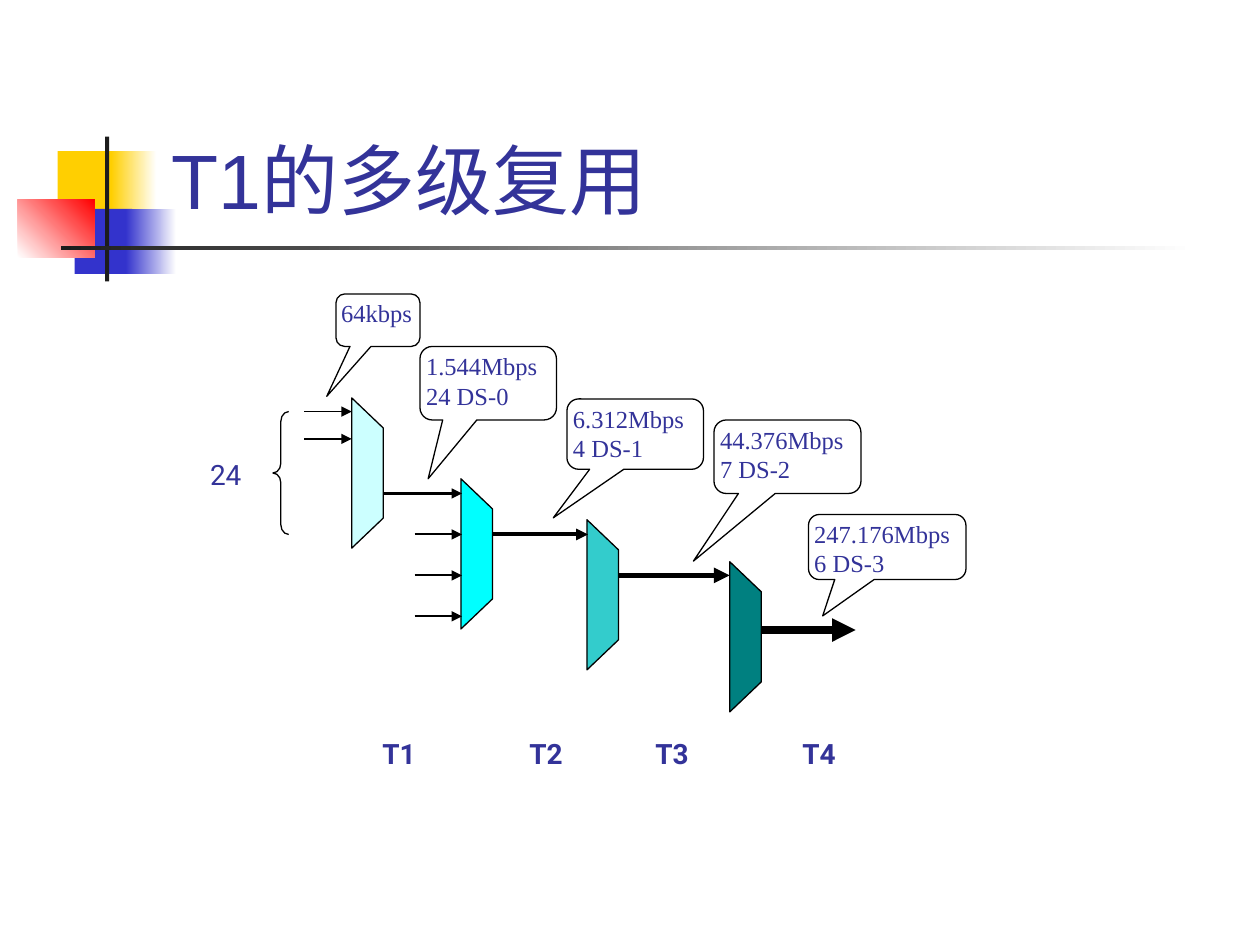
from dataclasses import dataclass

from lxml.etree import SubElement
from pptx import Presentation
from pptx.dml.color import RGBColor
from pptx.enum.shapes import MSO_CONNECTOR, MSO_SHAPE as Shape
from pptx.enum.text import MSO_ANCHOR as Anchor, MSO_AUTO_SIZE, PP_ALIGN as Align
from pptx.oxml.ns import qn
from pptx.util import Inches, Pt

# The slide is a grid of 120 columns by 90 rows of square cells
COLUMNS, ROWS = 120, 90
CELL = Inches(10) / COLUMNS

WHITE = RGBColor(0xFF, 0xFF, 0xFF)
BLACK = RGBColor(0, 0, 0)
CHARCOAL = RGBColor(0x1C, 0x1C, 0x1C)
YELLOW = RGBColor(0xFF, 0xCF, 0x01)
BLUE = RGBColor(0x33, 0x33, 0xCC)
RED = RGBColor(0xFF, 0, 0)
NAVY = RGBColor(0x33, 0x33, 0x99)
PALE_CYAN = RGBColor(0xCC, 0xFF, 0xFF)
CYAN = RGBColor(0, 0xFF, 0xFF)
TURQUOISE = RGBColor(0x33, 0xCC, 0xCC)
TEAL = RGBColor(0, 0x80, 0x80)

MUX_WIDTH, MUX_HEIGHT = 3, 14.3
INPUT_PITCH = 3.9


def cells(count):
    return round(count * CELL)


@dataclass
class Box:
    left: float
    top: float
    width: float
    height: float

    def inner(self, col, row, width, height):
        return Box(self.left + col, self.top + row, width, height)

    def emu(self):
        return [cells(n) for n in (self.left, self.top, self.width, self.height)]


def add_shape(slide, kind, box, fill=None, outlined=True):
    shape = slide.shapes.add_shape(kind, *box.emu())
    shape.shadow.inherit = False
    if fill is None:
        shape.fill.background()
    else:
        shape.fill.solid()
        shape.fill.fore_color.rgb = fill
    if outlined:
        shape.line.color.rgb = BLACK
        shape.line.width = Pt(0.75)
    else:
        shape.line.fill.background()
    return shape


def write(frame, lines, font_name, size, align, bold=False):
    frame.word_wrap = True
    frame.text = "\n".join(lines)
    for paragraph in frame.paragraphs:
        paragraph.alignment = align
        font = paragraph.font
        font.name, font.size, font.bold = font_name, Pt(size), bold
        font.color.rgb = NAVY


def add_ornament(slide, box):
    # Colour blocks and rules: place, start colour, end colour, angle
    blocks = [
        ((3.8, 1.4, 5.8, 6.2), YELLOW, None, 0),
        ((8.9, 1.4, 4.3, 6.2), YELLOW, WHITE, 0),
        ((5.4, 6.9, 5.5, 6.2), BLUE, None, 0),
        ((10.3, 6.9, 4.8, 6.2), BLUE, WHITE, 0),
        ((0, 6, 7.3, 5.5), WHITE, RED, 45),
        ((8.3, 0, 0.4, 13.8), CHARCOAL, None, 0),
        ((4.1, 10.4, 108, 0.4), CHARCOAL, WHITE, 0),
    ]
    for place, start, end, angle in blocks:
        block = add_shape(slide, Shape.RECTANGLE, box.inner(*place), start, outlined=False)
        if end is not None:
            block.fill.gradient()
            block.fill.gradient_angle = angle
            for stop, color in zip(block.fill.gradient_stops, (start, end)):
                stop.color.rgb = color


def add_title(slide, box):
    title = slide.shapes.title
    title.left, title.top, title.width, title.height = box.emu()
    frame = title.text_frame
    write(frame, ["T1的多级复用"], "Arial", 44, Align.LEFT)
    frame.vertical_anchor = Anchor.BOTTOM
    frame.auto_size = MSO_AUTO_SIZE.NONE
    slide.shapes._spTree.append(title._element)  # in front of the ornament


def add_mux(slide, box, color):
    # Drawn lying down, then turned so that the long side faces left
    lying = box.inner((box.width - box.height) / 2, (box.height - box.width) / 2,
                      box.height, box.width)
    add_shape(slide, Shape.FLOWCHART_MANUAL_OPERATION, lying, color).rotation = 270


def add_arrow(slide, box, start, end, row, weight):
    y = cells(box.top + row)
    arrow = slide.shapes.add_connector(
        MSO_CONNECTOR.STRAIGHT, cells(box.left + start), y, cells(box.left + end), y)
    arrow.line.color.rgb = BLACK
    arrow.line.width = Pt(weight)
    SubElement(arrow.line._get_or_add_ln(), qn("a:tailEnd"), type="triangle")
    SubElement(arrow._element.spPr, qn("a:effectLst"))


def add_label(slide, box, text, bold):
    label = slide.shapes.add_textbox(*box.emu())
    write(label.text_frame, [text], "Roboto", 16, Align.CENTER, bold)


def add_callout(slide, box, lines, pointer):
    callout = add_shape(slide, Shape.ROUNDED_RECTANGULAR_CALLOUT, box, WHITE)
    for index, value in enumerate((*pointer, 0.167)):
        callout.adjustments[index] = value
    frame = callout.text_frame
    frame.margin_left = frame.margin_right = Inches(0.02)
    frame.margin_top = frame.margin_bottom = Inches(0.01)
    frame.vertical_anchor = Anchor.TOP
    write(frame, lines, "Times New Roman", 14, Align.JUSTIFY)


def add_diagram(slide, box):
    # Multiplexers, one for each level
    for col, row, color in [(15.5, 9.9, PALE_CYAN), (25.9, 17.6, CYAN),
                            (37.9, 21.5, TURQUOISE), (51.5, 25.5, TEAL)]:
        add_mux(slide, box.inner(col, row, MUX_WIDTH, MUX_HEIGHT), color)

    # The 24 channels entering the first level
    brace = add_shape(slide, Shape.LEFT_BRACE, box.inner(8, 11.2, 1.5, 11.7))
    brace.adjustments[0] = 0.62
    add_label(slide, box.inner(0, 15, 7, 4.4), "24", bold=False)
    for row in (11.2, 13.8):
        add_arrow(slide, box, 11, 15.5, row, 0.75)

    # Inputs of the second level; the first comes from the level before
    for index in range(4):
        start = 21.5 if index else 18.5
        add_arrow(slide, box, start, 26, 19 + index * INPUT_PITCH, 1.25)

    # Trunks get heavier with the rate
    for start, end, row, weight in [(29, 38, 22.9, 2.25), (41, 51.5, 26.8, 3),
                                    (54.5, 63.5, 32, 4.5)]:
        add_arrow(slide, box, start, end, row, weight)

    # Line rates
    rates = [
        ((14, 0, 8, 5), ["64kbps"], (-0.61, 1.45)),
        ((22, 5, 13, 7), ["1.544Mbps", "24 DS-0"], (-0.44, 1.3)),
        ((36, 10, 13, 6.7), ["6.312Mbps", "4 DS-1"], (-0.6, 1.19)),
        ((50, 12, 14, 7), ["44.376Mbps", "7 DS-2"], (-0.64, 1.42)),
        ((59, 21, 15, 6.2), ["247.176Mbps", "6 DS-3"], (-0.41, 1.06)),
    ]
    for place, lines, pointer in rates:
        add_callout(slide, box.inner(*place), lines, pointer)

    # Level names
    for level, col in enumerate((16, 30, 42, 56), start=1):
        add_label(slide, box.inner(col, 41.6, 8, 4.4), f"T{level}", bold=True)


def main():
    deck = Presentation()
    deck.slide_width, deck.slide_height = cells(COLUMNS), cells(ROWS)
    slide = deck.slides.add_slide(deck.slide_layouts[5])
    add_ornament(slide, Box(1.7, 13, 112.1, 13.8))
    add_title(slide, Box(15.1, 2.8, 102.2, 19.2))
    add_diagram(slide, Box(18, 28, 74, 46))
    deck.save("out.pptx")


if __name__ == "__main__":
    main()
